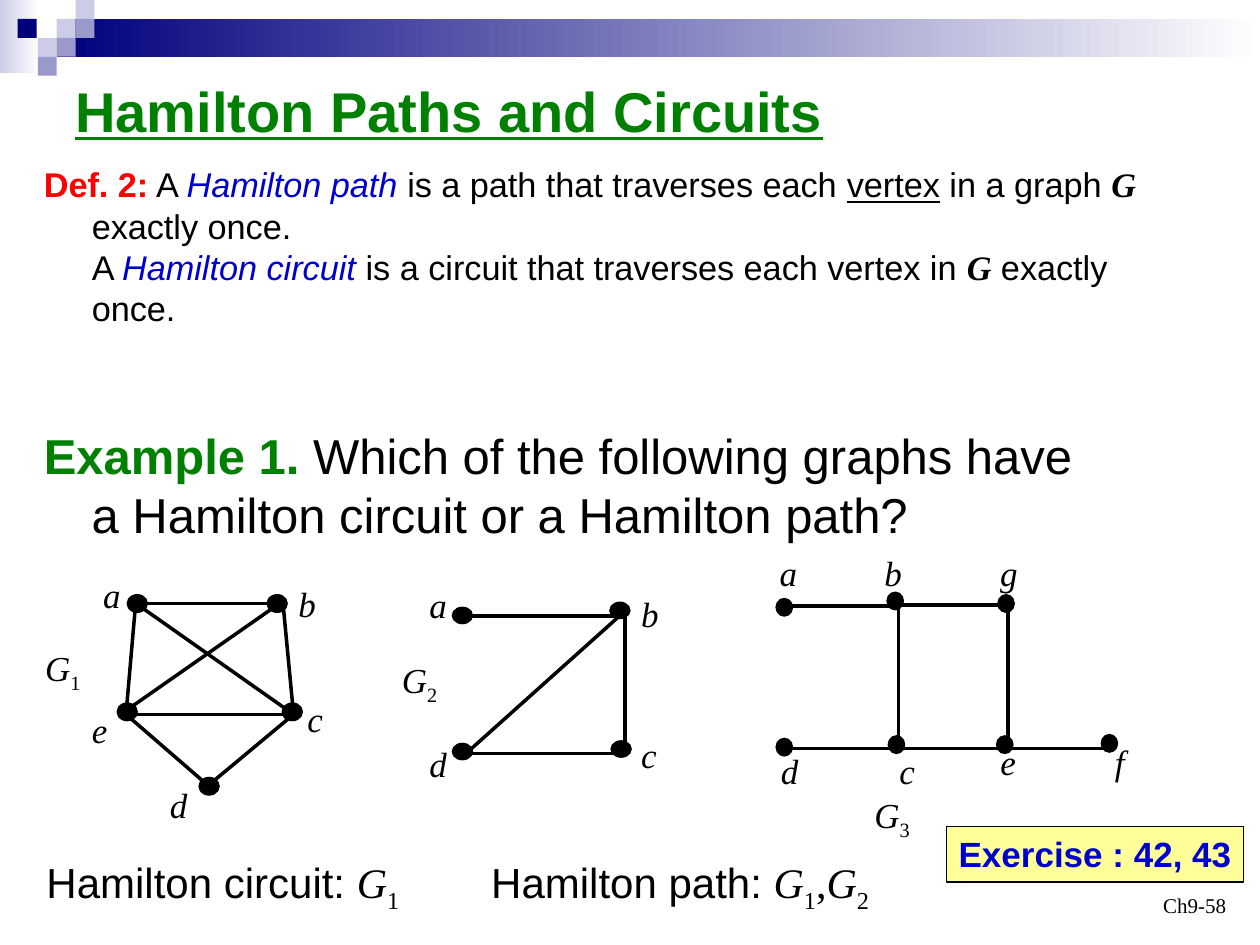
from lxml import etree
from pptx import Presentation
from pptx.dml.color import RGBColor
from pptx.enum import shapes, text
from pptx.oxml.ns import qn
from pptx.util import Inches, Pt

COLORS = {k: RGBColor.from_string(v) for k, v in {
    "black": "000000", "white": "FFFFFF", "navy": "00007D", "mid": "9999CC",
    "pale": "CCCCE6", "green": "008000", "red": "FF0000", "blue": "0000CC",
    "yellow": "FFFF99"}.items()}
SANS, SERIF = "Arial", "Times New Roman"
VAR = {"font": SERIF, "i": True}
SUB = {"font": SERIF, "sub": True}
VERTEX = {"font": SERIF, "i": True, "b": True}
TERM = {"color": "blue", "i": True}


def add_text(parent, at, size, runs, wrap=False):
    sp = parent.add_textbox(*map(Inches, at))
    tf = sp.text_frame
    tf.word_wrap = wrap
    p = tf.paragraphs[0]
    for words, style in runs:
        if words == "\n":
            p.add_line_break()
            continue
        r = p.add_run()
        r.text = words
        r.font.size = Pt(size)
        r.font.name = style.get("font", SANS)
        r.font.color.rgb = COLORS[style.get("color", "black")]
        r.font.bold = style.get("b", False)
        r.font.italic = style.get("i", False)
        r.font.underline = style.get("u", False)
        if style.get("sub"):
            r._r.get_or_add_rPr().set("baseline", "-25000")
    return sp


def add_solid(parent, kind, at, color):
    sp = parent.add_shape(kind, *map(Inches, at))
    sp.shadow.inherit = False
    sp.fill.solid()
    sp.fill.fore_color.rgb = COLORS[color]
    sp.line.fill.background()
    return sp


prs = Presentation()
prs.slide_width, prs.slide_height = Inches(10), Inches(7.5)
s = prs.slides.add_slide(prs.slide_layouts[6])

banner = s.shapes.add_group_shape().shapes
for at, start in [((0, 0, 0.31, 0.58), "pale"), ((0.45, 0.15, 9.55, 0.3), "navy")]:
    sp = add_solid(banner, shapes.MSO_SHAPE.RECTANGLE, at, start)
    sp.fill.gradient()
    sp.fill.gradient_angle = 0
    for stop, color, position in zip(sp.fill.gradient_stops, (start, "white"), (0, 1)):
        stop.color.rgb = COLORS[color]
        stop.position = position
for x, y, color in [(0.45, 0.15, "pale"), (0.6, 0, "pale"), (0.6, 0.15, "mid"),
                    (0.3, 0.3, "pale"), (0.14, 0.15, "navy"), (0.45, 0.3, "mid"),
                    (0.3, 0.45, "mid")]:
    add_solid(banner, shapes.MSO_SHAPE.RECTANGLE, (x, y, 0.15, 0.15), color)

title = add_text(s.shapes, (0.5, 0.5, 9, 0.75), 32, [
    ("Hamilton Paths and Circuits", {"color": "green", "b": True, "u": True})], wrap=True)
title.text_frame.vertical_anchor = text.MSO_ANCHOR.MIDDLE

definition = add_text(s.shapes, (0.25, 1.25, 9.08, 2), 19.6, [
    ("Def. 2:", {"color": "red", "b": True}), (" A ", {}), ("Hamilton path", TERM),
    (" is a path that traverses each ", {}), ("vertex", {"u": True}),
    (" in a graph ", {}), ("G", VERTEX), (" exactly once.", {}), ("\n", {}),
    ("A ", {}), ("Hamilton circuit", TERM),
    (" is a circuit that traverses each vertex in ", {}), ("G", VERTEX),
    (" exactly once.", {})], wrap=True)
example = add_text(s.shapes, (0.25, 3.33, 9.57, 1.04), 28, [
    ("Example 1. ", {"color": "green", "b": True}),
    ("Which of the following graphs have", {}), ("\n", {}),
    ("a Hamilton circuit or a Hamilton path?", {})], wrap=True)
for sp in (definition, example):
    pPr = sp.text_frame.paragraphs[0]._p.get_or_add_pPr()
    pPr.set("marL", str(Inches(0.38)))
    pPr.set("indent", str(Inches(-0.38)))

graphs = [
    {"name": ("1", 0.26, 5.08), "dot": (0.16, 0.14),
     "dots": [(1.01, 4.72), (2.12, 4.72), (2.24, 5.58), (0.93, 5.58), (1.58, 6.17)],
     "labels": [("a", 0.72, 4.5), ("b", 2.27, 4.57), ("c", 2.34, 5.49),
                ("d", 1.25, 6.17), ("e", 0.63, 5.57)],
     "edges": [(1.08, 4.79, 2.19, 4.79), (1.08, 4.79, 2.33, 5.67),
               (2.33, 5.67, 2.25, 4.83), (1, 5.67, 2.26, 5.67),
               (1, 5.67, 1.67, 6.25), (1.67, 6.22, 2.33, 5.67),
               (1, 5.64, 2.16, 4.83), (1.08, 4.75, 1, 5.67)]},
    {"name": ("2", 3.09, 5.18), "dot": (0.16, 0.13),
     "dots": [(3.59, 4.82), (4.84, 4.78), (4.85, 5.88), (3.59, 5.9)],
     "labels": [("a", 3.31, 4.58), ("b", 4.99, 4.65), ("c", 4.99, 5.77),
                ("d", 3.31, 5.84)],
     "edges": [(3.67, 4.89, 4.91, 4.89), (3.71, 5.97, 4.96, 4.85),
               (3.67, 5.98, 4.91, 5.98), (4.96, 4.85, 4.96, 5.97)]},
    {"name": ("3", 6.84, 6.25), "dot": (0.13, 0.14),
     "dots": [(6.16, 4.75), (7.04, 4.7), (7.92, 4.72), (6.16, 5.86), (7.05, 5.84),
              (7.91, 5.84), (8.74, 5.83)],
     "labels": [("a", 6.09, 4.33), ("b", 6.92, 4.33), ("g", 7.84, 4.33),
                ("d", 6.1, 5.9), ("c", 7.04, 5.9), ("e", 7.84, 5.83),
                ("f", 8.75, 5.83)],
     "edges": [(6.22, 4.81, 7.13, 4.81), (7.08, 4.8, 8, 4.8),
               (6.22, 5.94, 8.82, 5.94), (7.13, 4.77, 7.13, 5.93),
               (8, 4.76, 8, 5.92)]},
]
label_widths = {"c": 0.32, "e": 0.32, "f": 0.27}
for graph in graphs:
    group = s.shapes.add_group_shape().shapes
    for edge in graph["edges"]:
        line = group.add_connector(shapes.MSO_CONNECTOR.STRAIGHT, *map(Inches, edge))
        line.line.color.rgb = COLORS["black"]
        line.line.width = Pt(2)
        etree.SubElement(line._element.spPr, qn("a:effectLst"))
    for x, y in graph["dots"]:
        dot = add_solid(group, shapes.MSO_SHAPE.FLOWCHART_CONNECTOR,
                        (x, y, *graph["dot"]), "black")
        dot.line.color.rgb = COLORS["black"]
        dot.line.width = Pt(0.75)
    for letter, x, y in graph["labels"]:
        add_text(group, (x, y, label_widths.get(letter, 0.34), 0.44), 20, [(letter, VAR)])
    number, x, y = graph["name"]
    add_text(group, (x, y, 0.48, 0.48), 20, [("G", VAR), (number, SUB)])

add_text(s.shapes, (0.27, 6.75, 3.09, 0.56), 24, [
    ("Hamilton circuit: ", {}), ("G", VAR), ("1", SUB)])
add_text(s.shapes, (3.8, 6.75, 3.29, 0.56), 24, [
    ("Hamilton path: ", {}), ("G", VAR), ("1", SUB), (",", {"font": SERIF}),
    ("G", VAR), ("2", SUB)])

exercise = add_text(s.shapes, (7.51, 6.56, 2.36, 0.44), 20, [
    ("Exercise : 42, 43", {"color": "blue", "b": True})])
exercise.text_frame.margin_right = Inches(0.02)
exercise.fill.solid()
exercise.fill.fore_color.rgb = COLORS["yellow"]
exercise.line.color.rgb = COLORS["black"]
exercise.line.width = Pt(0.75)

page = add_text(s.shapes, (7.5, 6.83, 2.33, 0.5), 12, [("Ch9-58", {"font": SERIF})], wrap=True)
page.text_frame.vertical_anchor = text.MSO_ANCHOR.BOTTOM
page.text_frame.paragraphs[0].alignment = text.PP_ALIGN.RIGHT

prs.save("out.pptx")
